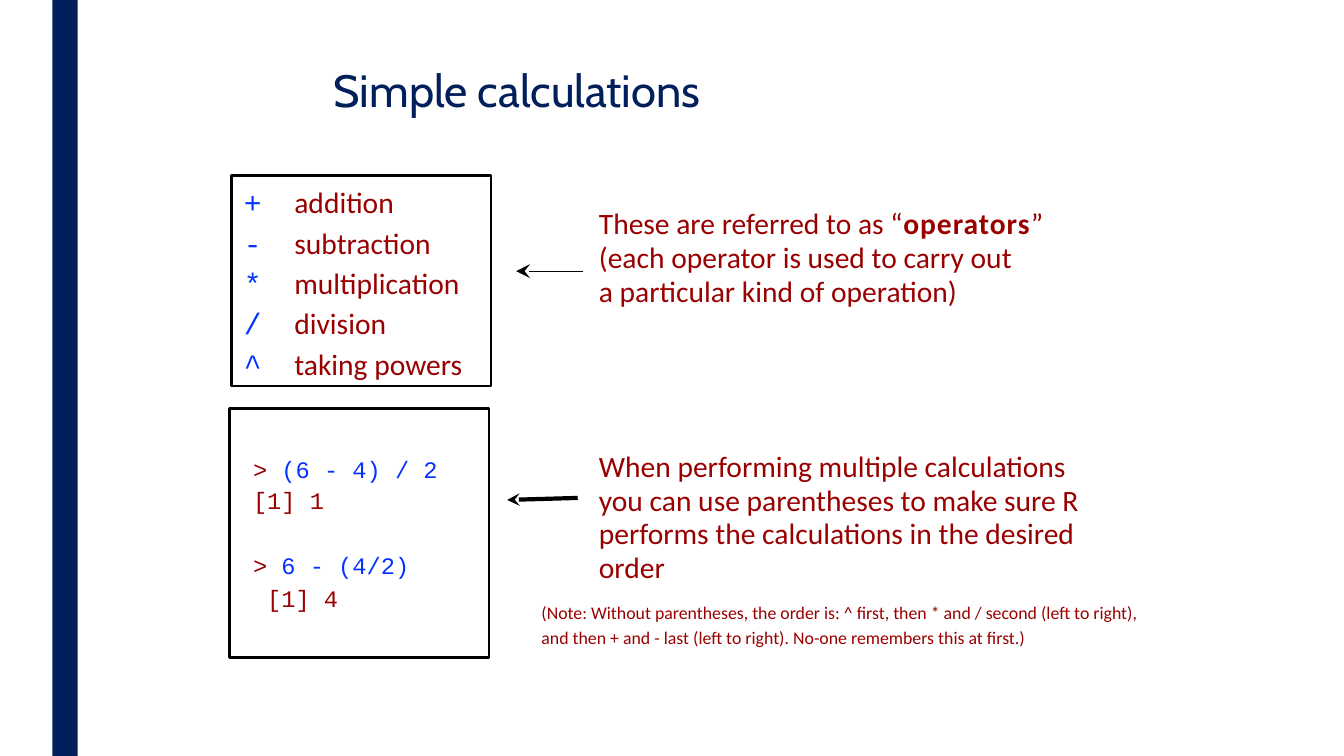
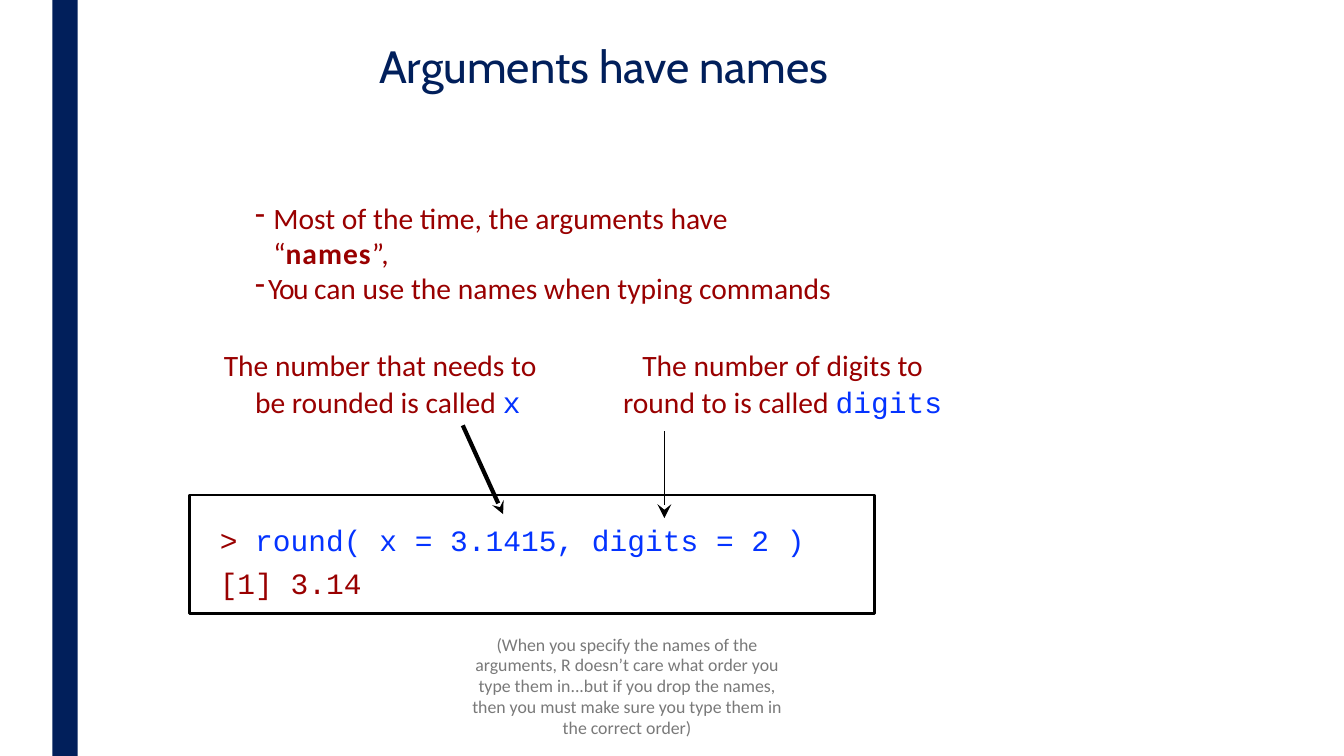
from lxml import etree
from pptx import Presentation
from pptx.dml.color import RGBColor
from pptx.enum.shapes import MSO_CONNECTOR, MSO_SHAPE
from pptx.enum.text import PP_ALIGN
from pptx.oxml.ns import qn
from pptx.util import Emu, Inches, Pt

RECT = MSO_SHAPE.RECTANGLE
LINE = MSO_CONNECTOR.STRAIGHT
LEFT, MID = PP_ALIGN.LEFT, PP_ALIGN.CENTER

NAVY = RGBColor(0x01, 0x1F, 0x5B)
RED = RGBColor(0x99, 0x00, 0x00)
BLUE = RGBColor(0x04, 0x33, 0xFF)
GREY = RGBColor(0x79, 0x79, 0x79)
BLACK = RGBColor(0, 0, 0)

WIDE, HIGH = 13.33, 7.5
BODY, CODE, NOTE, HEAD = 21.1, 16.9, 12.7, 32.3

# Run styles: font, colour, bold, letter spacing in points
STYLES = {
    "head": ("Cabin", NAVY, False, 0),
    "text": ("Calibri", RED, False, 0),
    "bold": ("Calibri", RED, True, 0.7),
    "tight": ("Calibri", RED, False, -1),
    "grey": ("Calibri", GREY, False, 0),
    "in": ("Courier New", BLUE, False, 0),
    "out": ("Courier New", RED, False, 0),
}

OPS = [("+", "addition"), ("-", "subtraction"), ("*", "multiplication"),
       ("/", "division"), ("^", "taking powers")]


def para(*runs, **opts):
    """One paragraph: (style, text) runs and its layout options."""
    return runs, opts


# Texts: box (left, top, width, height), size, paragraphs
# Frames: box; arrows: from x, y, to x, y, line width, head size
SLIDES = [
    {
        "title": ("Simple calculations", 3.31, 0.62),
        "frames": [(2.3, 1.74, 2.57, 2.09), (2.28, 4.05, 2.57, 2.47)],
        "texts": [
            ((2.42, 1.83, 2.4, 1.97), BODY, [
                para(("in", sign + "\t"), ("text", name),
                     tab=0.53, gap=3.5 if i else 0)
                for i, (sign, name) in enumerate(OPS)]),
            ((5.94, 2.04, 4.67, 1.04), BODY, [
                para(("text", "These are referred to as “"),
                     ("bold", "operators"),
                     ("text", "” (each operator is used to carry out"),
                     lead=Pt(24.6)),
                para(("text", "a particular kind of operation)"),
                     lead=Pt(23.9))]),
            ((2.51, 4.51, 2.2, 1.6), CODE, [
                para(("out", "> "), ("in", "(6 - 4) / 2")),
                para(("out", "[1] 1"), gap=2.2),
                para(("out", "> "), ("in", "6 - (4/2)"), gap=26),
                para(("out", " [1] 4"), gap=3.5)]),
            ((5.94, 4.45, 4.9, 1.4), BODY, [
                para(("text", "When performing multiple calculations you "
                      "can use parentheses to make sure R"),
                     lead=Pt(24.6)),
                para(("text", "performs the calculations in the "
                      "desired order"), lead=Pt(23.9))]),
            ((5.37, 5.94, 6.05, 0.5), NOTE, [
                para(("text", "(Note: Without parentheses, the order is: "
                      "^ first, then * and / second (left to right), and "
                      "then + and - last (left to right). No-one remembers "
                      "this at first.)"), lead=Pt(17.6))]),
        ],
        "arrows": [(5.78, 2.69, 5.12, 2.69, 0.25, "lg"),
                   (5.73, 4.94, 5.03, 4.96, 3, "med")],
    },
    {
        "title": ("Arguments have names", 3.76, 0.38),
        "frames": [(1.88, 4.91, 6.79, 1.18)],
        "texts": [
            ((2.52, 1.99, 5.85, 1.05), BODY, [
                para(("text", "Most of the time, the arguments have “"),
                     ("bold", "names"), ("text", "”,"),
                     left=0.19, first=-0.18, mark="-", lead=Pt(25)),
                para(("tight", "You "),
                     ("text", "can use the names when typing commands"),
                     left=0.14, first=-0.13, mark="-", lead=Pt(25))]),
            ((2.21, 3.42, 3.2, 0.75), BODY, [
                para(("text", "The number that needs to be rounded "
                      "is called "), ("in", "x"),
                     left=0.32, first=-0.31, lead=1.06)]),
            ((6.17, 3.42, 3.22, 0.75), BODY, [
                para(("text", "The number of digits to round to "
                      "is called "), ("in", "digits"),
                     left=0.01, first=0.19, lead=1.06)]),
            ((2.18, 5.18, 6.3, 0.76), BODY, [
                para(("out", "> "),
                     ("in", "round( x = 3.1415, digits = 2 )")),
                para(("out", "[1] 3.14"), gap=5.6)]),
            ((4.62, 6.29, 3.2, 1.05), NOTE, [
                para(("grey", "(When you specify the names of the "
                      "arguments, R doesn’t care what order you type them "
                      "in...but if you drop the names, then you must make "
                      "sure you type them in the correct order)"),
                     align=MID, lead=Pt(14.8))]),
        ],
        "arrows": [(4.59, 4.22, 4.99, 5.1, 3, "med"),
                   (6.59, 4.28, 6.59, 5.14, 0.25, "lg")],
    },
]


def add_rect(slide, box, fill=None, line=None):
    rect = slide.shapes.add_shape(RECT, *map(Inches, box))
    rect.shadow.inherit = False
    if fill is None:
        rect.fill.background()
    else:
        rect.fill.solid()
        rect.fill.fore_color.rgb = fill
    if line is None:
        rect.line.fill.background()
    else:
        rect.line.color.rgb = line
        rect.line.width = Pt(2)


def set_para(par, left=0, first=0, mark=None, tab=None, gap=0,
             lead=None, align=LEFT):
    props = par._p.get_or_add_pPr()
    props.set("marL", str(Inches(left)))
    props.set("indent", str(Inches(first)))
    if mark:
        etree.SubElement(props, qn("a:buChar"), char=mark)
    if tab:
        tabs = etree.SubElement(props, qn("a:tabLst"))
        etree.SubElement(tabs, qn("a:tab"), pos=str(Inches(tab)), algn="l")
    par.alignment = align
    par.space_before = Pt(gap)
    if lead:
        par.line_spacing = lead


def add_text(slide, box, size, paras):
    frame = slide.shapes.add_textbox(*map(Inches, box)).text_frame
    frame.word_wrap = True
    frame.margin_left = frame.margin_right = Emu(0)
    frame.margin_top = frame.margin_bottom = Emu(0)
    for i, (runs, opts) in enumerate(paras):
        par = frame.add_paragraph() if i else frame.paragraphs[0]
        set_para(par, **opts)
        par.font.size = Pt(size)
        for style, text in runs:
            face, color, bold, space = STYLES[style]
            run = par.add_run()
            run.text = text
            run.font.name = face
            run.font.size = Pt(size)
            run.font.bold = bold
            run.font.color.rgb = color
            if space:
                run._r.get_or_add_rPr().set("spc", str(round(space * 100)))


def add_arrow(slide, x1, y1, x2, y2, width, head):
    arrow = slide.shapes.add_connector(LINE, *map(Inches, (x1, y1, x2, y2)))
    arrow.line.color.rgb = BLACK
    arrow.line.width = Pt(width)
    etree.SubElement(arrow.line._get_or_add_ln(), qn("a:tailEnd"),
                     type="stealth", w=head, len=head)
    etree.SubElement(arrow._element.spPr, qn("a:effectLst"))


def add_page(deck, page):
    slide = deck.slides.add_slide(deck.slide_layouts[6])
    # Shared side band and title
    add_rect(slide, (0.52, 0, 0.25, HIGH), fill=NAVY)
    title, left, top = page["title"]
    add_text(slide, (left, top, 5.05, 0.54), HEAD, [para(("head", title))])
    # Content
    for box in page["frames"]:
        add_rect(slide, box, line=BLACK)
    for part in page["texts"]:
        add_text(slide, *part)
    for arrow in page["arrows"]:
        add_arrow(slide, *arrow)


def main():
    deck = Presentation()
    deck.slide_width, deck.slide_height = Inches(WIDE), Inches(HIGH)
    for page in SLIDES:
        add_page(deck, page)
    deck.save("out.pptx")


if __name__ == "__main__":
    main()
